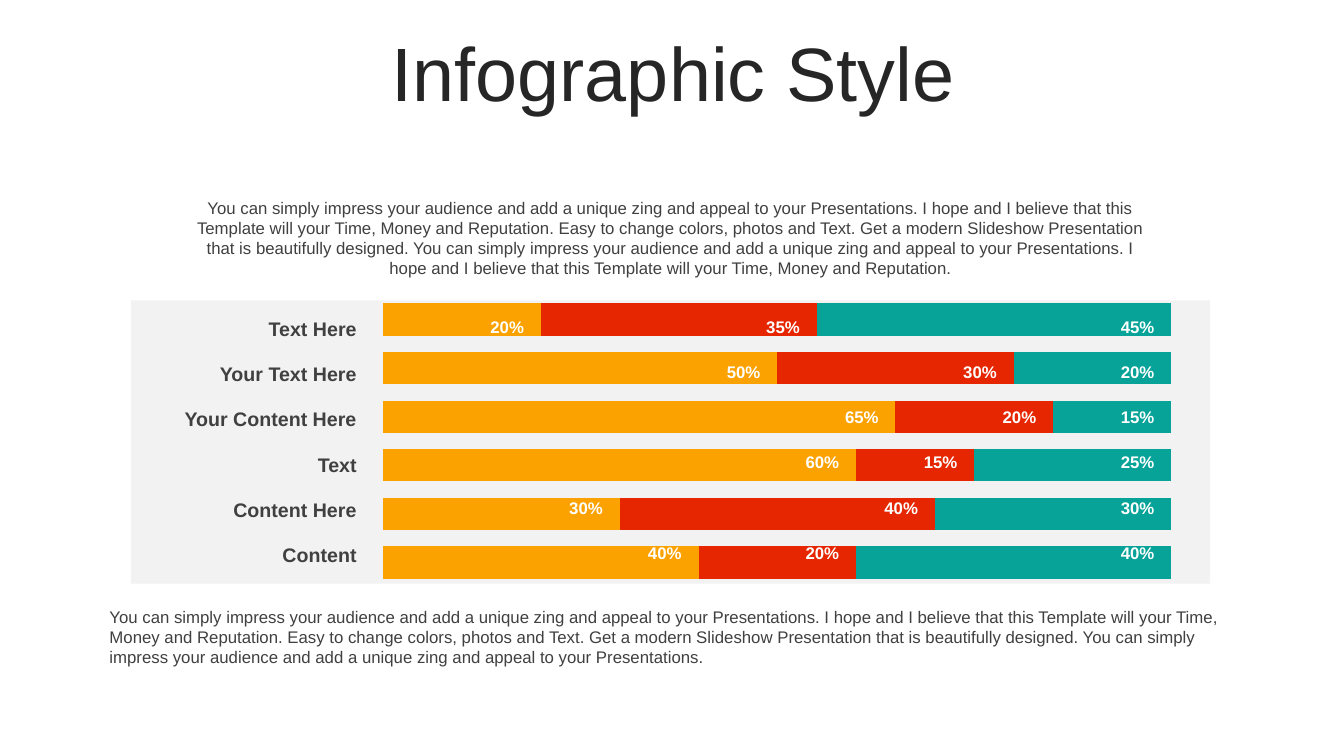
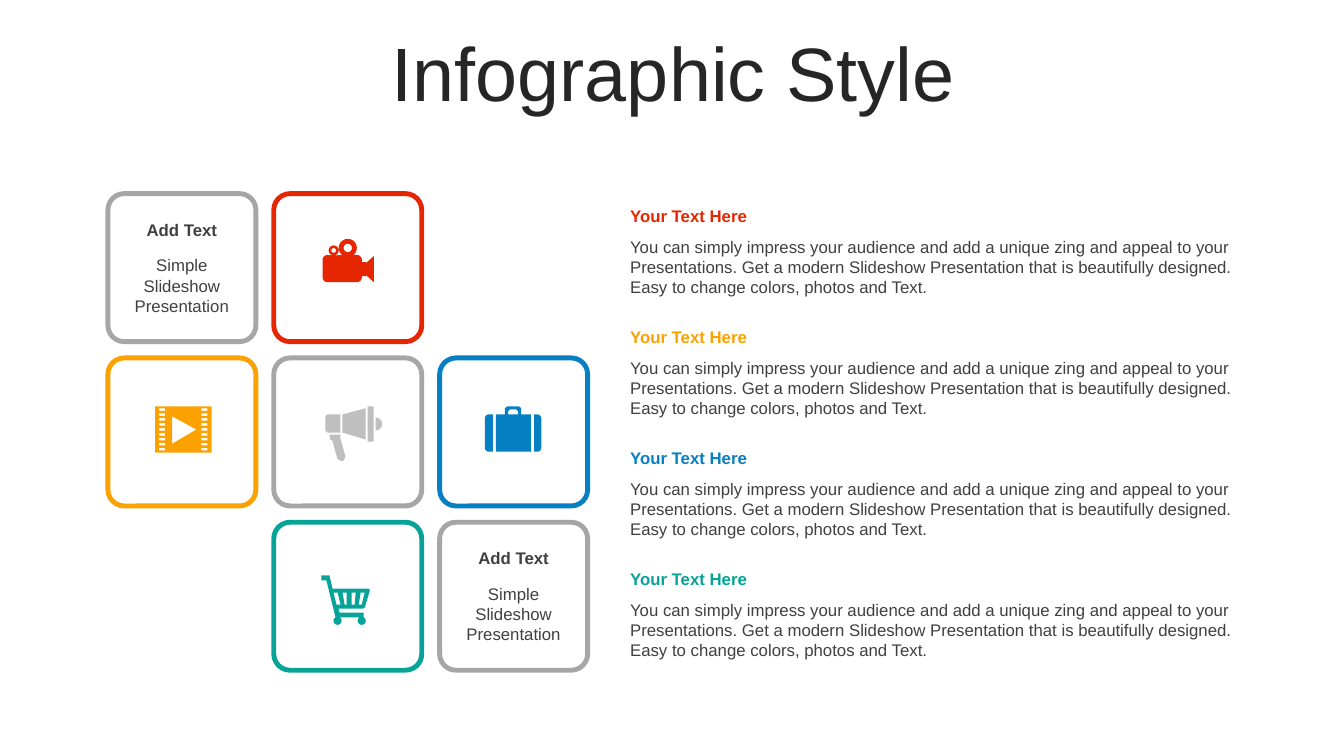
"""Build two infographic slides: a stacked bar chart and a grid of icon cards."""
from math import cos, radians, sin

from pptx import Presentation
from pptx.chart.data import CategoryChartData
from pptx.dml.color import RGBColor
from pptx.enum.chart import XL_CHART_TYPE
from pptx.enum.shapes import MSO_SHAPE
from pptx.enum.text import MSO_ANCHOR, PP_ALIGN
from pptx.util import Cm, Pt

FONT = "Arial"
ORANGE = RGBColor(0xFB, 0xA2, 0x00)
RED = RGBColor(0xE6, 0x26, 0x01)
TEAL = RGBColor(0x07, 0xA3, 0x98)
BLUE = RGBColor(0x06, 0x80, 0xC3)
GREY = RGBColor(0xA6, 0xA6, 0xA6)
SILVER = RGBColor(0xBF, 0xBF, 0xBF)
PANEL = RGBColor(0xF2, 0xF2, 0xF2)
WHITE = RGBColor(0xFF, 0xFF, 0xFF)
TITLE = RGBColor(0x26, 0x26, 0x26)
TEXT = RGBColor(0x40, 0x40, 0x40)

APPEAL = ("You can simply impress your audience and add a unique zing and appeal "
          "to your Presentations.")
HOPE = ("I hope and I believe that this Template will your Time, Money and "
        "Reputation.")
EASY = "Easy to change colors, photos and Text."
MODERN = "Get a modern Slideshow Presentation that is beautifully designed."

BAR_ROWS = [
    ("Text Here", (20, 35, 45)),
    ("Your Text Here", (50, 30, 20)),
    ("Your Content Here", (65, 20, 15)),
    ("Text", (60, 15, 25)),
    ("Content Here", (30, 40, 30)),
    ("Content", (40, 20, 40)),
]
SERIES_COLORS = (ORANGE, RED, TEAL)
BARS_LEFT, BARS_WIDTH = 9.65, 19.86
ROW_TOP, ROW_PITCH = 7.85, 1.14

CARDS = [
    (0, 0, GREY), (1, 0, RED),
    (0, 1, ORANGE), (1, 1, GREY), (2, 1, BLUE),
    (1, 2, TEAL), (2, 2, GREY),
]
TEXT_CARDS = ((0, 0), (2, 2))
ICON_GRID = Cm(2.54) / 100


def arc(cx, cy, r, start=0, end=360, steps=16):
    """Return points along a clockwise arc, with angles in degrees."""
    angles = [radians(start + (end - start) * i / steps) for i in range(steps + 1)]
    return [(cx + r * cos(a), cy + r * sin(a)) for a in angles]


def box(x, y, w, h):
    """Return the corners of a rectangle."""
    return [(x, y), (x + w, y), (x + w, y + h), (x, y + h)]


def camera():
    """Return the outlines of a film camera."""
    body = [
        *arc(5, 21, 5, 180, 270), *arc(11, 11.5, 5, 100, 440),
        *arc(25, 9, 9, 129, 411), *arc(34, 21, 5, 270, 360),
        (39, 23), (43, 23), (43, 24), (51, 17), (51, 43), (43, 36), (43, 37),
        (39, 37), *arc(34, 38, 5, 0, 90), *arc(5, 38, 5, 90, 180),
    ]
    return [body, arc(11, 11.5, 2.4), arc(25, 9, 4.2)]


def film():
    """Return the outlines of a film frame with a play mark."""
    perforations = [box(x, 2 + 4.9 * i, 6, 2.5) for x in (4, 46) for i in range(9)]
    return [box(0, 0, 56, 46), [(17, 10), (17, 37), (41, 23)], *perforations]


def megaphone():
    """Return the outlines of a megaphone."""
    handle = [(4, 28), (15, 28), (15, 32), (20, 50), (18, 54), (15, 54),
              (12, 52), (7, 34), (5, 33)]
    grip = [(2, 8), (15, 8), (15, 26), (2, 26), (0, 24), (0, 10)]
    cone = [(40, 2), (40, 33), (17, 26), (17, 8)]
    return [handle, grip, cone, box(42, 0, 6, 35), arc(50, 17.5, 6.3, -90, 90)]


def suitcase():
    """Return the outlines of a suitcase."""
    left = [*arc(4, 12, 4, 180, 270), (8, 8), (8, 45), *arc(4, 41, 4, 90, 180)]
    right = [(49, 8), *arc(52, 12, 4, 270, 360), *arc(52, 41, 4, 0, 90), (49, 45)]
    middle = [(20, 8), (20, 2), (22, 0), (34, 0), (36, 2), (36, 8),
              (46, 8), (46, 45), (11, 45), (11, 8)]
    handle = [(23, 8), (23, 5), (25, 3), (31, 3), (33, 5), (33, 8)]
    return [left, right, middle, handle]


def cart():
    """Return the outlines of a shopping cart."""
    frame = [
        (8, 0), (11, 13), *arc(46, 15, 2, 270, 380), (43, 32), (41, 33), (17, 33),
        (18, 37), (42, 37), (42, 41), *arc(40, 45, 4, -60, 240),
        *arc(16, 45, 4, -60, 240), (5, 5), (0, 5), (0, 0),
    ]
    return [
        frame,
        [(12, 17), (15, 29), (19, 29), (16, 17)],
        [(21, 17), (23, 29), (25, 29), (25, 17)],
        [(30, 17), (30, 29), (33, 29), (34, 17)],
        [(39, 17), (37, 29), (40, 29), (43, 17)],
    ]


def write(tf, lines, align=PP_ALIGN.LEFT, size=12, gap=0):
    """Write (text, color, bold) lines as paragraphs."""
    tf.word_wrap = True
    for i, (text, color, bold) in enumerate(lines):
        p = tf.add_paragraph() if i else tf.paragraphs[0]
        p.text = text
        p.alignment = align
        if i:
            p.space_before = Pt(gap)
        p.font.name = FONT
        p.font.size = Pt(size)
        p.font.bold = bold
        p.font.color.rgb = color


def add_text(slide, x, y, w, h, lines, anchor=MSO_ANCHOR.TOP, **style):
    """Add a text box and return its text frame."""
    tf = slide.shapes.add_textbox(Cm(x), Cm(y), Cm(w), Cm(h)).text_frame
    tf.vertical_anchor = anchor
    write(tf, lines, **style)
    return tf


def add_box(slide, kind, x, y, w, h, fill, line=None):
    """Add a filled preset shape with an optional outline."""
    sp = slide.shapes.add_shape(kind, Cm(x), Cm(y), Cm(w), Cm(h))
    sp.shadow.inherit = False
    sp.fill.solid()
    sp.fill.fore_color.rgb = fill
    if line is None:
        sp.line.fill.background()
    else:
        sp.line.color.rgb = line
        sp.line.width = Pt(3.5)
    return sp


def add_icon(slide, x, y, outlines, color):
    """Add an icon drawn from closed outlines, where inner ones are holes."""
    pen = None
    for outline in outlines:
        points = [(px * ICON_GRID, py * ICON_GRID) for px, py in outline]
        if pen is None:
            pen = slide.shapes.build_freeform(*points[0])
        else:
            pen.move_to(*points[0])
        pen.add_line_segments(points[1:], close=True)
    sp = pen.convert_to_shape(Cm(x), Cm(y))
    sp.shadow.inherit = False
    sp.fill.solid()
    sp.fill.fore_color.rgb = color
    sp.line.fill.background()


def add_titled_slide(prs):
    """Add a blank slide with the shared title."""
    slide = prs.slides.add_slide(prs.slide_layouts[6])
    tf = add_text(slide, 0.89, 0.94, 32.16, 2, [("Infographic Style", TITLE, False)],
                  anchor=MSO_ANCHOR.MIDDLE, align=PP_ALIGN.CENTER, size=54)
    tf.paragraphs[0].line_spacing = 0.9
    return slide


def add_bar_chart(slide):
    """Add the 100% stacked bar chart, whose first category is at the bottom."""
    rows = [values for _, values in reversed(BAR_ROWS)]
    data = CategoryChartData()
    data.categories = [str(i + 1) for i in range(len(rows))]
    for i, values in enumerate(zip(*rows), start=1):
        data.add_series(f"Series {i}", values)
    chart = slide.shapes.add_chart(XL_CHART_TYPE.BAR_STACKED_100, Cm(9.25), Cm(7.29),
                                   Cm(20.68), Cm(7.65), data).chart
    chart.has_legend = False
    chart.has_title = False
    chart.font.name = FONT
    chart.font.size = Pt(18)
    chart.font.color.rgb = RGBColor(0, 0, 0)
    chart.value_axis.has_major_gridlines = False
    chart.value_axis.visible = False
    chart.category_axis.visible = False
    plot = chart.plots[0]
    plot.gap_width = 50
    plot.overlap = 100
    plot.vary_by_categories = False
    for series, color in zip(plot.series, SERIES_COLORS):
        series.format.fill.solid()
        series.format.fill.fore_color.rgb = color


def add_bar_labels(slide):
    """Add row names and the percentages near the end of each bar segment."""
    for i, (name, values) in enumerate(BAR_ROWS):
        y = ROW_TOP + i * ROW_PITCH
        add_text(slide, 3.73, y, 5.51, 0.86, [(name, TEXT, True)],
                 anchor=MSO_ANCHOR.MIDDLE, align=PP_ALIGN.RIGHT, size=14)
        total = 0
        for value in values:
            total += value
            end = BARS_LEFT + BARS_WIDTH * total / 100
            add_text(slide, end - 1.64, y, 1.6, 0.76, [(f"{value}%", WHITE, True)],
                     align=PP_ALIGN.CENTER)


def build_chart_slide(prs):
    """Build the slide with the stacked bars."""
    slide = add_titled_slide(prs)
    add_box(slide, MSO_SHAPE.RECTANGLE, 3.3, 7.57, 27.2, 7.14, PANEL)
    add_bar_chart(slide)
    add_bar_labels(slide)
    intro = " ".join((APPEAL, HOPE, EASY, MODERN, APPEAL, HOPE))
    closing = " ".join((APPEAL, HOPE, EASY, MODERN, APPEAL))
    add_text(slide, 4.47, 4.85, 24.87, 2.31, [(intro, TEXT, False)],
             align=PP_ALIGN.CENTER)
    add_text(slide, 2.51, 15.16, 28.78, 1.8, [(closing, TEXT, False)])


def build_card_slide(prs):
    """Build the slide with the icon cards and their descriptions."""
    slide = add_titled_slide(prs)
    for col, row, color in CARDS:
        sp = add_box(slide, MSO_SHAPE.ROUNDED_RECTANGLE, 2.72 + col * 4.18,
                     4.88 + row * 4.14, 3.73, 3.73, WHITE, color)
        sp.adjustments[0] = 0.11
        if (col, row) in TEXT_CARDS:
            sp.text_frame.vertical_anchor = MSO_ANCHOR.MIDDLE
            write(sp.text_frame, [("Add Text", TEXT, True),
                                  ("Simple Slideshow Presentation", TEXT, False)],
                  align=PP_ALIGN.CENTER, gap=11)

    add_icon(slide, 8.13, 6.02, camera(), RED)
    add_icon(slide, 3.91, 10.24, film(), ORANGE)
    add_icon(slide, 8.2, 10.24, megaphone(), SILVER)
    add_icon(slide, 12.22, 10.24, suitcase(), BLUE)
    add_icon(slide, 8.1, 14.5, cart(), TEAL)

    description = " ".join((APPEAL, MODERN, EASY))
    for i, color in enumerate((RED, ORANGE, BLUE, TEAL)):
        add_text(slide, 15.63, 5.05 + i * 3.05, 15.83, 2.57,
                 [("Your Text Here", color, True), (description, TEXT, False)], gap=8)


def main():
    """Build and save the presentation."""
    prs = Presentation()
    prs.slide_width = Cm(33.87)
    prs.slide_height = Cm(19.05)
    build_chart_slide(prs)
    build_card_slide(prs)
    prs.save("out.pptx")


if __name__ == "__main__":
    main()
